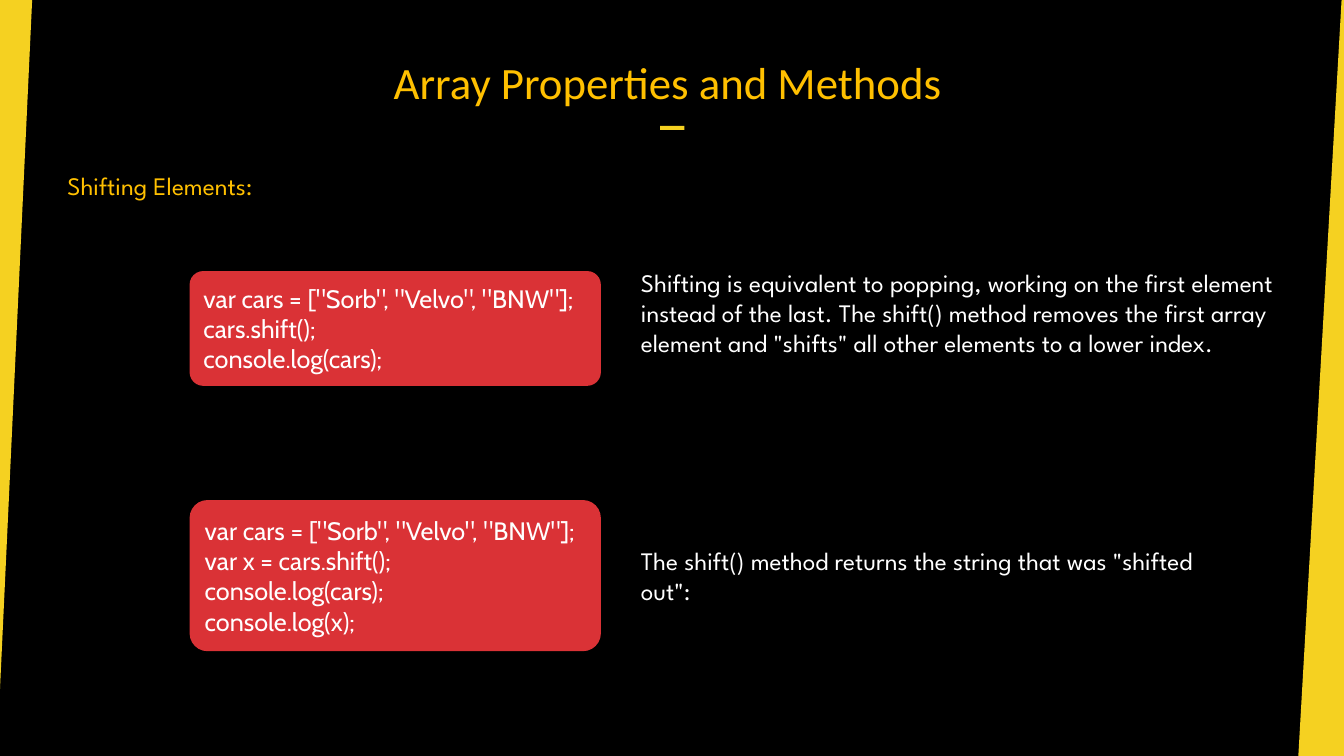
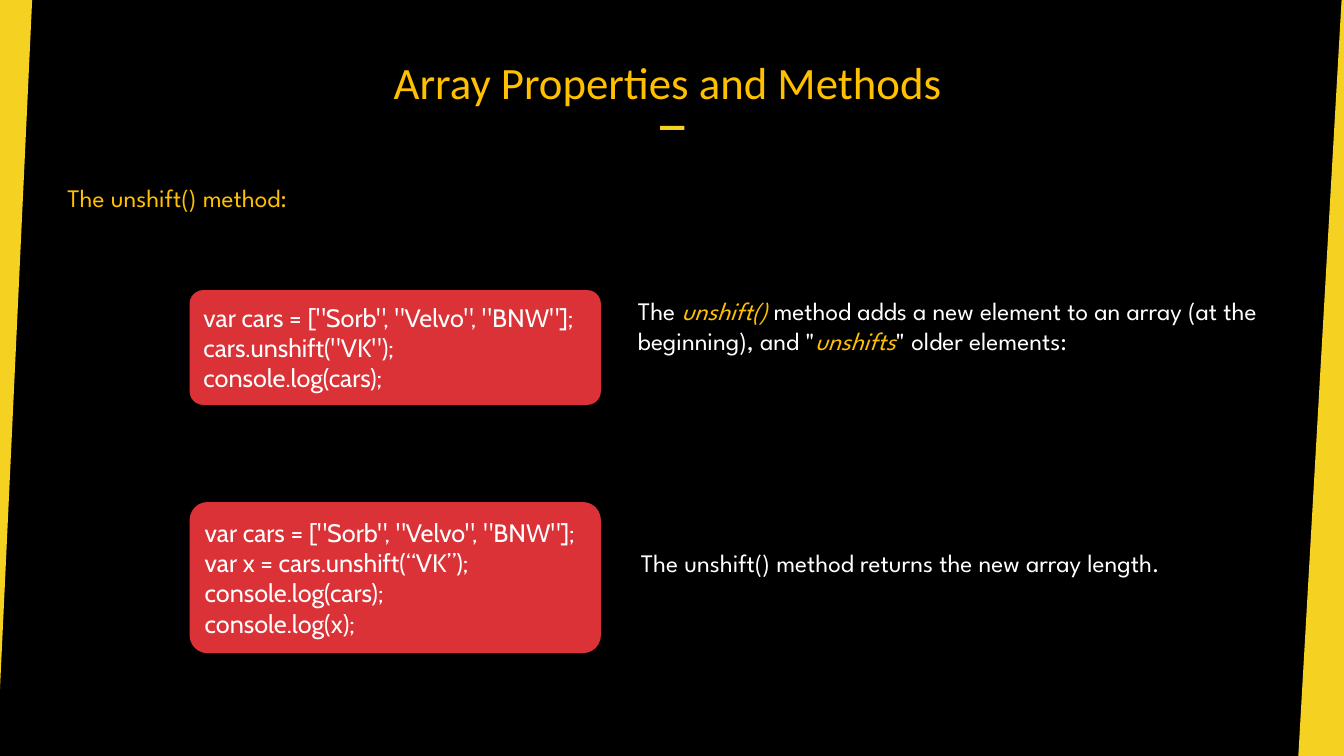
from dataclasses import dataclass

from pptx import Presentation
from pptx.dml.color import RGBColor
from pptx.enum.shapes import MSO_SHAPE
from pptx.enum.text import MSO_ANCHOR, MSO_AUTO_SIZE, PP_ALIGN
from pptx.util import Pt


@dataclass(frozen=True)
class Theme:
    background: RGBColor = RGBColor(0x00, 0x00, 0x00)
    band: RGBColor = RGBColor(0xF5, 0xD1, 0x21)
    accent: RGBColor = RGBColor(0xFF, 0xC0, 0x00)
    code_fill: RGBColor = RGBColor(0xDA, 0x32, 0x36)
    text: RGBColor = RGBColor(0xFF, 0xFF, 0xFF)
    title_font: str = "Calibri"
    body_font: str = "League Spartan"
    code_font: str = "Cabin"
    title_size: float = 32
    body_size: float = 18


@dataclass(frozen=True)
class Box:
    left: float
    top: float
    width: float
    height: float

    def lengths(self) -> tuple[Pt, ...]:
        return tuple(Pt(v) for v in (self.left, self.top, self.width, self.height))


@dataclass(frozen=True)
class Run:
    text: str
    emphasis: bool = False


@dataclass(frozen=True)
class Example:
    code_top: float
    code: tuple[str, ...]
    note_box: Box
    note: tuple[Run, ...]


@dataclass(frozen=True)
class Lesson:
    heading: str
    heading_top: float
    examples: tuple[Example, ...]


THEME = Theme()
SLIDE_WIDTH, SLIDE_HEIGHT = 960, 540
TITLE = "Array Properties and Methods"
TITLE_BOX = Box(228.2, 23.8, 497.5, 54)
TITLE_DASH = Box(471.6, 90, 17.3, 2.9)
BANDS = (
    ((-3.6, 0), (23, 0), (-2.2, SLIDE_HEIGHT), (-3.6, SLIDE_HEIGHT)),
    ((958.3, 0), (SLIDE_WIDTH, 0), (SLIDE_WIDTH, SLIDE_HEIGHT), (927.4, SLIDE_HEIGHT)),
)
CODE_LEFT, CODE_WIDTH = 135.4, 293.8
CODE_LINE, CODE_PADDING = 26, 4
CODE_ROUNDING = 0.119
CARS = 'var cars = ["Sorb", "Velvo", "BNW"];'
LOG_CARS, LOG_X = "console.log(cars);", "console.log(x);"

LESSONS = (
    Lesson("Shifting Elements:", 118.1, (
        Example(
            193.6, (CARS, "cars.shift();", LOG_CARS),
            Box(450.7, 187.2, 493.2, 94.3),
            (Run("Shifting is equivalent to popping, working on the first element "
                 "instead of the last. The shift() method removes the first array "
                 'element and "shifts" all other elements to a lower index.'),)),
        Example(
            357.2, (CARS, "var x = cars.shift();", LOG_CARS, LOG_X),
            Box(450.7, 385.9, 444.2, 51),
            (Run('The shift() method returns the string that was "shifted out":'),)),
    )),
    Lesson("The unshift() method:", 126.7, (
        Example(
            207.2, (CARS, 'cars.unshift("VK");', LOG_CARS),
            Box(448.6, 207.4, 493.2, 51),
            (Run("The "), Run("unshift() ", True),
             Run('method adds a new element to an array (at the beginning), and "'),
             Run("unshifts", True), Run('" older elements:'))),
        Example(
            358.6, (CARS, "var x = cars.unshift(“VK”);", LOG_CARS, LOG_X),
            Box(450.7, 387.4, 444.2, 29),
            (Run("The unshift() method returns the new array length."),)),
    )),
)


def paint(shape, color: RGBColor) -> None:
    shape.shadow.inherit = False
    shape.fill.solid()
    shape.fill.fore_color.rgb = color
    shape.line.fill.background()


def add_run(p, text: str, color: RGBColor, **font_format) -> None:
    r = p.add_run()
    r.text = text
    r.font.color.rgb = color
    for name, value in font_format.items():
        setattr(r.font, name, value)


def add_text(s, box: Box, **frame_format):
    """Add a wrapping text box and return its text frame."""
    tf = s.shapes.add_textbox(*box.lengths()).text_frame
    for name, value in ({"word_wrap": True} | frame_format).items():
        setattr(tf, name, value)
    return tf


def add_body(s, box: Box, runs: tuple[Run, ...], color: RGBColor) -> None:
    tf = add_text(s, box, auto_size=MSO_AUTO_SIZE.SHAPE_TO_FIT_TEXT)
    for run in runs:
        add_run(tf.paragraphs[0], run.text, THEME.accent if run.emphasis else color,
                name=THEME.body_font, size=Pt(THEME.body_size), italic=run.emphasis)


def add_code(s, top: float, lines: tuple[str, ...]) -> None:
    box = Box(CODE_LEFT, top, CODE_WIDTH, CODE_PADDING + CODE_LINE * len(lines))
    sp = s.shapes.add_shape(MSO_SHAPE.ROUNDED_RECTANGLE, *box.lengths())
    sp.adjustments[0] = CODE_ROUNDING
    paint(sp, THEME.code_fill)
    tf = sp.text_frame
    tf.vertical_anchor = MSO_ANCHOR.MIDDLE
    for i, line in enumerate(lines):
        p = tf.add_paragraph() if i else tf.paragraphs[0]
        p.alignment = PP_ALIGN.LEFT
        add_run(p, line, THEME.text, name=THEME.code_font, size=Pt(THEME.body_size))


def add_frame(s) -> None:
    """Draw the side bands, the title and the dash under it."""
    for start, *rest in BANDS:
        builder = s.shapes.build_freeform(Pt(start[0]), Pt(start[1]))
        builder.add_line_segments([(Pt(x), Pt(y)) for x, y in rest], close=True)
        paint(builder.convert_to_shape(), THEME.band)
    paint(s.shapes.add_shape(MSO_SHAPE.RECTANGLE, *TITLE_DASH.lengths()), THEME.band)
    tf = add_text(s, TITLE_BOX, vertical_anchor=MSO_ANCHOR.BOTTOM, margin_bottom=0)
    p = tf.paragraphs[0]
    p.alignment = PP_ALIGN.CENTER
    add_run(p, TITLE, THEME.accent, name=THEME.title_font, size=Pt(THEME.title_size))


def add_lesson(prs, lesson: Lesson) -> None:
    s = prs.slides.add_slide(prs.slide_layouts[6])
    add_frame(s)
    add_body(s, Box(41, lesson.heading_top, 301.7, 29), (Run(lesson.heading),), THEME.accent)
    for example in lesson.examples:
        add_code(s, example.code_top, example.code)
        add_body(s, example.note_box, example.note, THEME.text)


def main() -> None:
    prs = Presentation()
    prs.slide_width, prs.slide_height = Pt(SLIDE_WIDTH), Pt(SLIDE_HEIGHT)
    fill = prs.slide_master.background.fill
    fill.solid()
    fill.fore_color.rgb = THEME.background
    for lesson in LESSONS:
        add_lesson(prs, lesson)
    prs.save("out.pptx")


if __name__ == "__main__":
    main()
